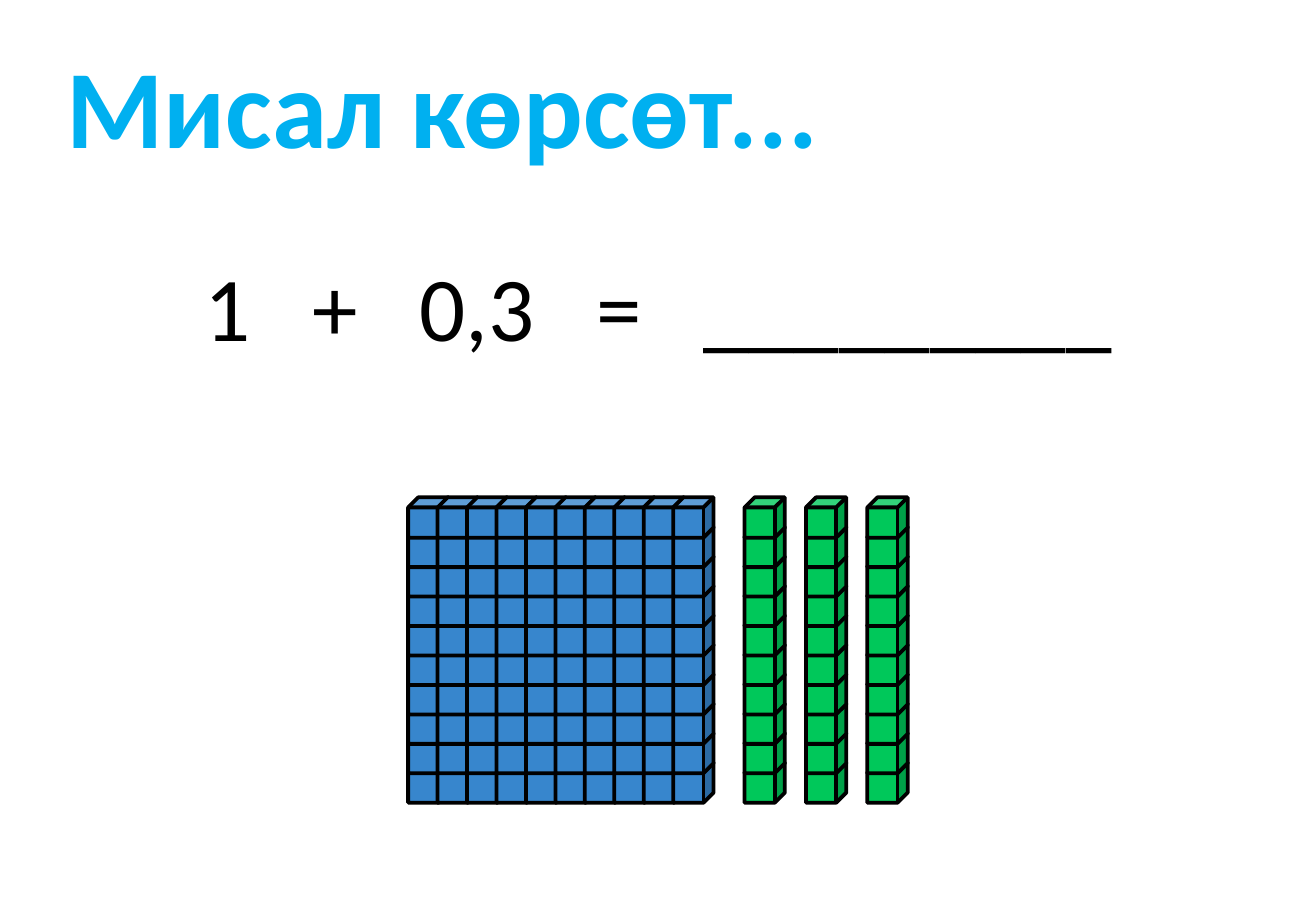
from pptx import Presentation
from pptx.dml.color import RGBColor
from pptx.enum.shapes import MSO_SHAPE as Shape
from pptx.enum.text import MSO_ANCHOR as Anchor, PP_ALIGN as Align
from pptx.oxml.xmlchemy import OxmlElement
from pptx.util import Pt

COLORS = {"title": "00B0F0", "ink": "000000", "one": "3786CD", "tenth": "00C85A"}
FONT = "Calibri"
CUBE = 23.9    # outer size of one cube
STEP = 17.46   # distance between neighbouring cubes
TOP = 294.8    # top of every column
ROWS = 10


class SlideBuilder:
    def __init__(self, slide):
        self.s = slide

    def color(self, name):
        return RGBColor.from_string(COLORS[name])

    def text(self, x, y, w, h, runs, size, color, bold=False, inset=7.2, tabs=()):
        sp = self.s.shapes.add_textbox(Pt(x), Pt(y), Pt(w), Pt(h))
        tf = sp.text_frame
        tf.word_wrap = True
        tf.vertical_anchor = Anchor.TOP
        tf.margin_left = Pt(inset)
        p = tf.paragraphs[0]
        p.alignment = Align.LEFT
        if tabs:
            tab_list = OxmlElement("a:tabLst")
            for pos in tabs:
                tab = OxmlElement("a:tab")
                tab.set("pos", str(Pt(pos)))
                tab.set("algn", "l")
                tab_list.append(tab)
            p._p.get_or_add_pPr().append(tab_list)
        for text in runs:
            r = p.add_run()
            r.text = text
            r.font.name = FONT
            r.font.size = Pt(size)
            r.font.bold = bold
            r.font.color.rgb = self.color(color)

    def cube(self, group, x, y, color):
        sp = group.shapes.add_shape(Shape.CUBE, Pt(x), Pt(y), Pt(CUBE), Pt(CUBE))
        sp.shadow.inherit = False
        sp.fill.solid()
        sp.fill.fore_color.rgb = self.color(color)
        sp.line.color.rgb = self.color("ink")
        sp.line.width = Pt(2.25)

    def block(self, x, columns, color):
        """Stack cubes bottom to top, then left to right, so they overlap properly."""
        group = self.s.shapes.add_group_shape()
        for col in range(columns):
            for row in reversed(range(ROWS)):
                self.cube(group, x + col * STEP, TOP + row * STEP, color)


def main():
    prs = Presentation()
    prs.slide_width, prs.slide_height = Pt(780), Pt(540)
    b = SlideBuilder(prs.slides.add_slide(prs.slide_layouts[6]))

    # Equation, spaced with tab stops
    b.text(111, 144.7, 558, 72.7, ["1", "\t+", "\t0,3", "\t=", "\t_________"],
           54, "ink", inset=10, tabs=(64, 127.5, 232.3, 295.8))

    # Three tenths
    for i in range(3):
        b.block(441.3 + i * 36.4, 1, "tenth")

    # One whole
    b.block(241.9, 10, "one")

    # Title
    b.text(17.3, 18.7, 542.9, 87.1, ["Мисал көрсөт..."], 66, "title",
           bold=True, inset=22.1)

    prs.save("out.pptx")


if __name__ == "__main__":
    main()
